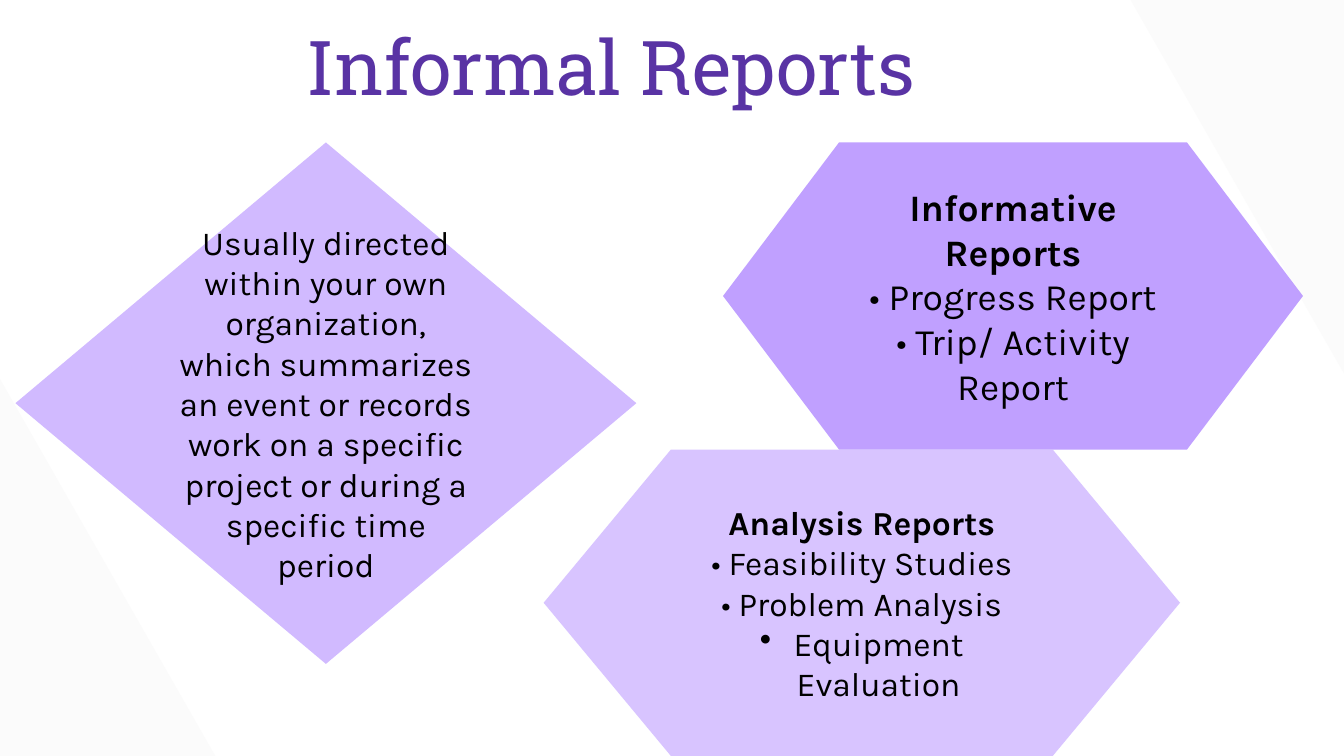
from lxml import etree
from pptx import Presentation
from pptx.dml.color import RGBColor
from pptx.enum import shapes, text
from pptx.oxml import ns
from pptx.util import Inches, Pt

WHITE = RGBColor(0xFF, 0xFF, 0xFF)
PALE = RGBColor(0xFB, 0xFB, 0xFB)
PURPLE = RGBColor(0x59, 0x33, 0xA4)
LILAC = RGBColor(0xD1, 0xBA, 0xFF)
VIOLET = RGBColor(0xB2, 0x8B, 0xFF)
MAUVE = RGBColor(0xCF, 0xB7, 0xFF)
BLACK = RGBColor(0, 0, 0)


def paint(shape, color, alpha=100):
    shape.shadow.inherit = False
    shape.line.fill.background()
    shape.fill.solid()
    shape.fill.fore_color.rgb = color
    if alpha < 100:
        tone = shape.fill._xPr.find(".//" + ns.qn("a:srgbClr"))
        etree.SubElement(tone, ns.qn("a:alpha")).set("val", str(alpha * 1000))


def bullet(para, indent=0.5):
    props = para._p.get_or_add_pPr()
    props.set("marL", str(Inches(indent)))
    props.set("indent", str(Inches(-indent)))
    tone = etree.SubElement(props, ns.qn("a:buClr"))
    etree.SubElement(tone, ns.qn("a:srgbClr")).set("val", str(BLACK))
    etree.SubElement(props, ns.qn("a:buChar")).set("char", "•")


def write(shape, lines, size=36, font="Karla", color=BLACK, head=False,
          marked=(), pad=(0.13, 0.13)):
    frame = shape.text_frame
    frame.word_wrap = True
    frame.vertical_anchor = text.MSO_ANCHOR.MIDDLE
    frame.margin_left = frame.margin_right = Inches(pad[0])
    frame.margin_top = frame.margin_bottom = Inches(pad[1])
    for i, line in enumerate(lines):
        para = frame.paragraphs[0] if i == 0 else frame.add_paragraph()
        para.alignment = text.PP_ALIGN.CENTER
        if line in marked:
            bullet(para)
        run = para.add_run()
        run.text = line
        run.font.size = Pt(size)
        run.font.name = font
        run.font.bold = head and i == 0
        run.font.color.rgb = color


def corner(slide, left, top, width, height, turn=0):
    path = slide.shapes.build_freeform(Inches(left + width / 2), Inches(top))
    path.add_line_segments([
        (Inches(left + width), Inches(top + height)),
        (Inches(left), Inches(top + height)),
    ], close=True)
    shape = path.convert_to_shape()
    shape.rotation = turn
    paint(shape, PALE)


def title(slide, box, words):
    shape = slide.shapes.add_textbox(*map(Inches, box))
    write(shape, [words], size=81, font="Roboto Slab", color=PURPLE,
          pad=(0.1, 0.05))


def panel(slide, box, kind, color, lines, alpha=100, **style):
    shape = slide.shapes.add_shape(kind, *map(Inches, box))
    paint(shape, color, alpha)
    write(shape, lines, **style)


def main():
    deck = Presentation()
    deck.slide_width, deck.slide_height = Inches(20), Inches(11.25)
    slide = deck.slides.add_slide(deck.slide_layouts[6])
    slide.background.fill.solid()
    slide.background.fill.fore_color.rgb = WHITE

    corner(slide, -5.08, 4.46, 8.81, 7.71)
    corner(slide, 16.27, -0.97, 8.81, 7.71, turn=180)
    title(slide, (0.62, 0.35, 16.94, 1.25), "Informal Reports")

    kinds = shapes.MSO_SHAPE
    panel(slide, (0.23, 2.12, 9.24, 7.76), kinds.DIAMOND, LILAC, [
        "Usually directed within your own organization, which summarizes "
        "an event or records work on a specific project or during a "
        "specific time period"])
    panel(slide, (10.76, 2.12, 8.63, 4.57), kinds.FLOWCHART_PREPARATION,
          VIOLET, ["Informative Reports", "• Progress Report",
                   "• Trip/ Activity Report"],
          alpha=81, size=40, head=True)
    panel(slide, (8.09, 6.69, 9.47, 4.56), kinds.FLOWCHART_PREPARATION,
          MAUVE, ["Analysis Reports", "• Feasibility Studies",
                  "• Problem Analysis", "Equipment Evaluation"],
          alpha=81, head=True, marked=("Equipment Evaluation",))
    deck.save("out.pptx")


if __name__ == "__main__":
    main()
